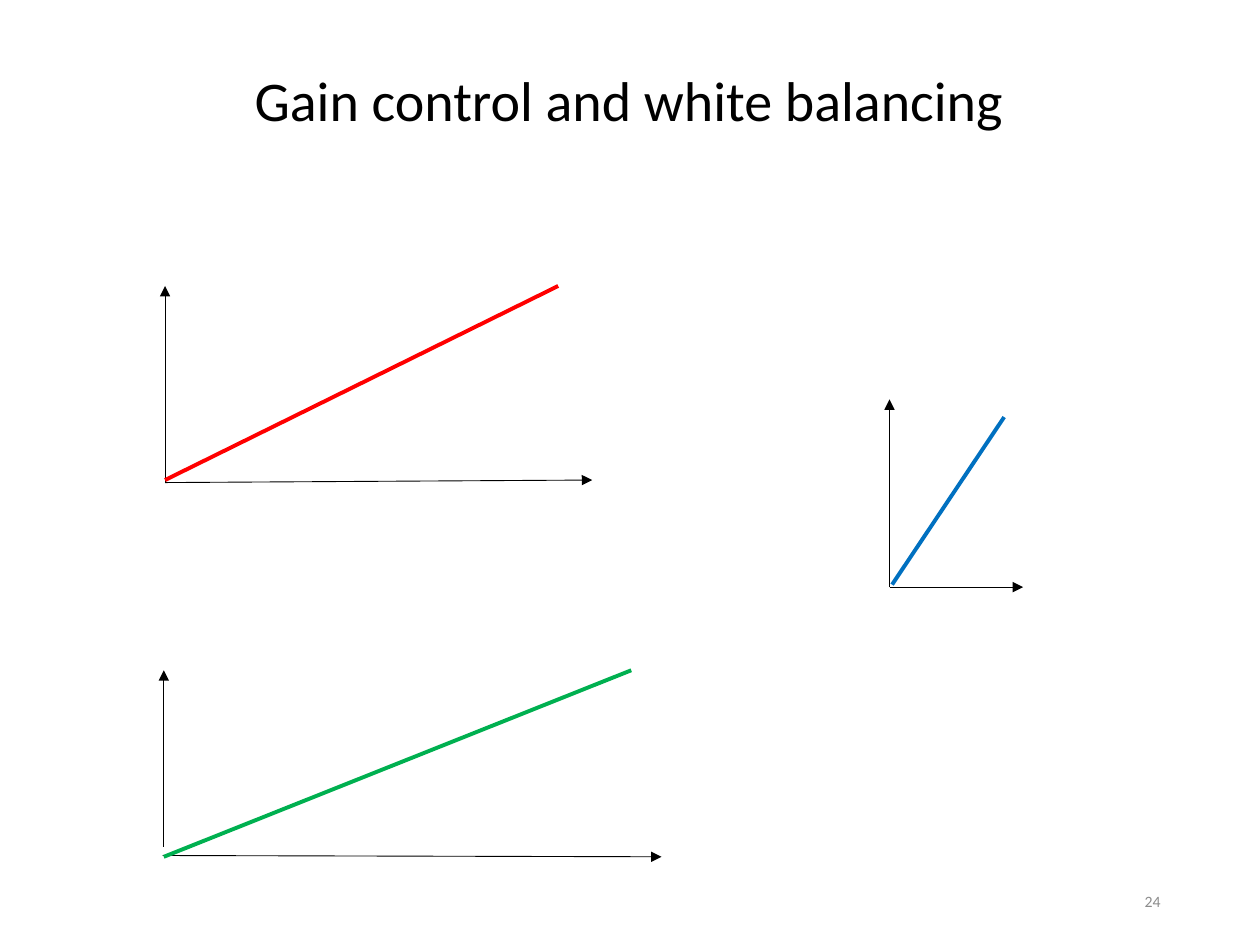
from pptx import Presentation
from pptx.dml.color import RGBColor
from pptx.enum.shapes import MSO_CONNECTOR
from pptx.enum.text import MSO_ANCHOR, PP_ALIGN
from pptx.oxml.ns import qn
from pptx.util import Inches, Pt
from lxml import etree

STRAIGHT = MSO_CONNECTOR.STRAIGHT
TOP, MIDDLE = MSO_ANCHOR.TOP, MSO_ANCHOR.MIDDLE
LEFT, RIGHT = PP_ALIGN.LEFT, PP_ALIGN.RIGHT
COLORS = {"black": "000000", "gray": "8C8C8C", "red": "FF0000",
          "green": "00B050", "blue": "0070C0"}
COLS, ROWS = 100, 75


class Deck:
    font = "Calibri"
    axis_width, gain_width = 0.5, 2.25

    def __init__(self, width, height):
        self.prs = Presentation()
        self.prs.slide_width, self.prs.slide_height = Inches(width), Inches(height)
        self.col = self.prs.slide_width / COLS
        self.row = self.prs.slide_height / ROWS
        self.s = self.prs.slides.add_slide(self.prs.slide_layouts[5])

    def grid(self, x, y):
        return round(x * self.col), round(y * self.row)

    def set_text(self, sp, text, size, color, align, anchor):
        tf = sp.text_frame
        tf.word_wrap = True
        tf.vertical_anchor = anchor
        p = tf.paragraphs[0]
        p.text = text
        p.alignment = align
        p.font.name, p.font.size = self.font, Pt(size)
        p.font.color.rgb = RGBColor.from_string(COLORS[color])
        return p

    def title(self, text, x, y, w, h):
        sp = self.s.shapes.title
        sp.left, sp.top = self.grid(x, y)
        sp.width, sp.height = self.grid(w, h)
        p = self.set_text(sp, text, 32, "black", LEFT, TOP)
        p.line_spacing = 0.9

    def page_number(self, text, x, y, w, h):
        sp = self.s.shapes.add_textbox(*self.grid(x, y), *self.grid(w, h))
        self.set_text(sp, text, 9, "gray", RIGHT, MIDDLE)

    def line(self, start, end, color, width, arrow=False):
        sp = self.s.shapes.add_connector(
            STRAIGHT, *self.grid(*start), *self.grid(*end))
        sp.line.color.rgb = RGBColor.from_string(COLORS[color])
        sp.line.width = Pt(width)
        spPr = sp._element.spPr
        if arrow:
            etree.SubElement(spPr.find(qn("a:ln")), qn("a:tailEnd"), type="triangle")
        etree.SubElement(spPr, qn("a:effectLst"))

    def plot(self, y_axis, x_axis, gain, color):
        for start, end in (y_axis, x_axis):
            self.line(start, end, "black", self.axis_width, arrow=True)
        self.line(*gain, color, self.gain_width)


PLOTS = [
    (((13.1, 38.3), (13.1, 22.7)), ((13.1, 38.3), (47, 38.1)),
     ((44.3, 22.7), (13.1, 38.1)), "red"),
    (((13, 67.2), (13, 53.2)), ((12.9, 67.9), (52.5, 68)),
     ((50.1, 53.2), (13, 68)), "green"),
    (((70.6, 46.6), (70.6, 31.7)), ((70.6, 46.6), (81.2, 46.6)),
     ((79.7, 33.1), (70.8, 46.4)), "blue"),
]


def main():
    deck = Deck(10, 7.5)
    deck.title("Gain control and white balancing", 19.2, 5.3, 68.8, 7.9)
    deck.page_number("24", 70.6, 69.5, 22.5, 4)
    for plot in PLOTS:
        deck.plot(*plot)
    deck.prs.save("out.pptx")


if __name__ == "__main__":
    main()
